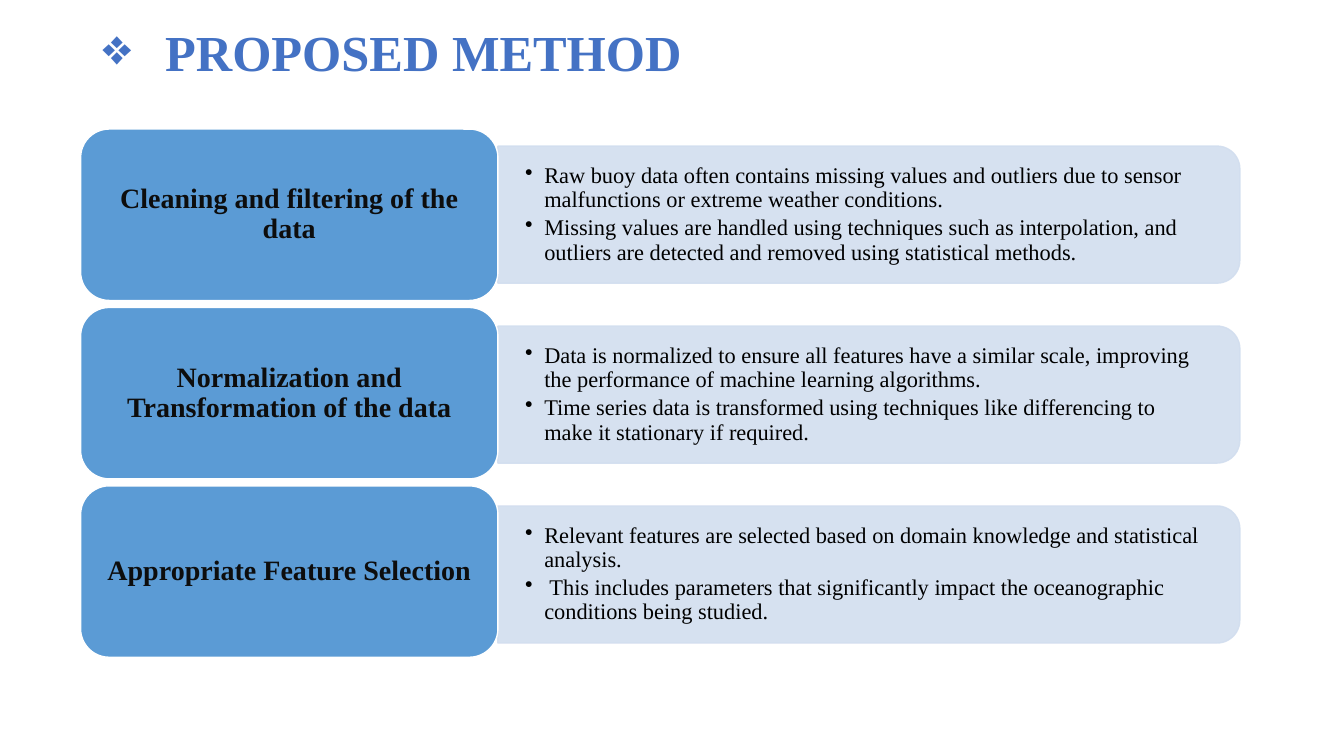
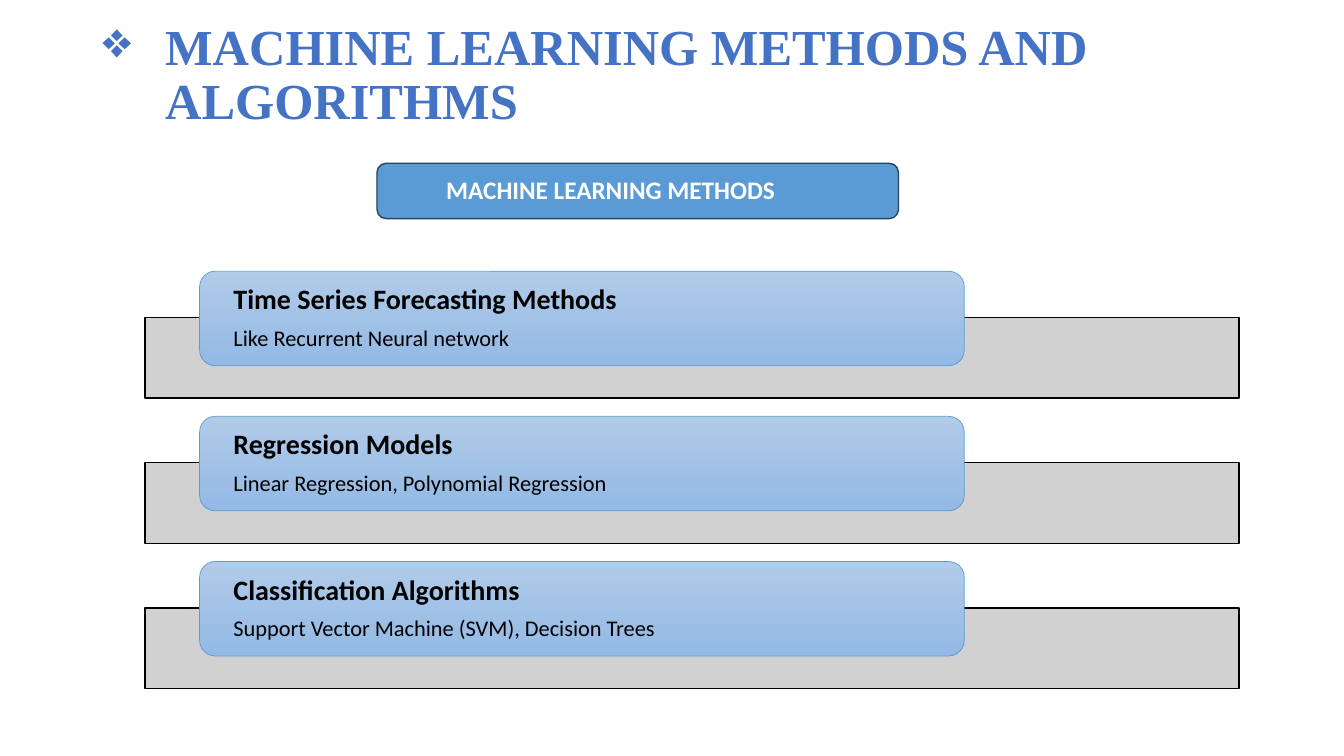
from lxml.etree import SubElement
from pptx import Presentation
from pptx.dml.color import RGBColor as Rgb
from pptx.enum.shapes import MSO_SHAPE as Shape
from pptx.enum.text import MSO_ANCHOR as Anchor, PP_ALIGN as Align
from pptx.oxml.ns import qn
from pptx.util import Inches, Pt

COLORS = {
    "title": "4472C4", "card": "5B9BD5", "panel": "D2DEEF", "white": "FFFFFF",
    "ink": "0D0D0D", "black": "000000", "bar": "CCCCCC", "edge": "28445D",
    "light": "B1CBE9", "deep": "93B9E4",
}
SERIF, SANS = "Times New Roman", "Calibri"
FONTS = {
    "title": {"name": SERIF, "size": Pt(36), "bold": True, "color": "title"},
    "step": {"name": SERIF, "size": Pt(20), "bold": True, "color": "ink"},
    "detail": {"name": SERIF, "size": Pt(16), "bold": False, "color": "black"},
    "header": {"name": SANS, "size": Pt(18), "bold": True, "color": "white"},
    "method": {"name": SANS, "size": Pt(20), "bold": True, "color": "black"},
    "example": {"name": SANS, "size": Pt(16), "bold": False, "color": "black"},
}
STEPS = [
    ("Cleaning and filtering of the data", [
        "Raw buoy data often contains missing values and outliers due to sensor malfunctions or extreme weather conditions.",
        "Missing values are handled using techniques such as interpolation, and outliers are detected and removed using statistical methods."]),
    ("Normalization and Transformation of the data", [
        "Data is normalized to ensure all features have a similar scale, improving the performance of machine learning algorithms.",
        "Time series data is transformed using techniques like differencing to make it stationary if required."]),
    ("Appropriate Feature Selection", [
        "Relevant features are selected based on domain knowledge and statistical analysis.",
        " This includes parameters that significantly impact the oceanographic conditions being studied."]),
]
METHODS = [
    ("Time Series Forecasting Methods", "Like Recurrent Neural network"),
    ("Regression Models", "Linear Regression, Polynomial Regression"),
    ("Classification Algorithms", "Support Vector Machine (SVM), Decision Trees"),
]


def rgb(name):
    """Return the named colour."""
    return Rgb.from_string(COLORS[name])


def fade(node, share=90):
    """Give every colour under the node the same opacity in percent."""
    for color in node.iter(qn("a:srgbClr")):
        SubElement(color, qn("a:alpha"), val=str(share * 1000))


class Deck:
    """Style and current slide, with boxes in percent of the slide's size."""

    def __init__(self):
        """Start an empty wide presentation."""
        self.show = Presentation()
        self.show.slide_width, self.show.slide_height = Inches(13.33), Inches(7.5)
        self.slide = None

    def box(self, left, top, width, height):
        """Turn percentages into slide lengths."""
        across, down = self.show.slide_width / 100, self.show.slide_height / 100
        return [round(n) for n in (left * across, top * down, width * across, height * down)]

    def begin(self, heading, top, height):
        """Add a slide with its bulleted heading."""
        self.slide = self.show.slides.add_slide(self.show.slide_layouts[6])
        self.label((6.9, top, 86.25, height), [(heading, "title")], bullet="❖", indent=0.62)

    def shape(self, kind, box, fill, line, weight=1, turned=False):
        """Draw a filled outline, turned a quarter clockwise on request."""
        left, top, width, height = self.box(*box)
        if turned:
            left, top = left + (width - height) // 2, top + (height - width) // 2
            width, height = height, width
        drawn = self.slide.shapes.add_shape(kind, left, top, width, height)
        drawn.rotation = 90 if turned else 0
        drawn.shadow.inherit = False
        if isinstance(fill, tuple):
            drawn.fill.gradient()
            drawn.fill.gradient_angle = 270
            for stop, color in zip(drawn.fill.gradient_stops, fill):
                stop.color.rgb = rgb(color)
        else:
            drawn.fill.solid()
            drawn.fill.fore_color.rgb = rgb(fill)
        drawn.line.color.rgb = rgb(line)
        drawn.line.width = Pt(weight)
        return drawn

    def label(self, box, lines, **layout):
        """Set text in a box of its own."""
        holder = self.slide.shapes.add_textbox(*self.box(*box))
        self.typeset(holder, lines, **layout)

    def typeset(self, holder, lines, align=Align.LEFT, inset=(0.1, 0.05), gap=0,
                bullet=None, indent=0):
        """Fill a holder with one paragraph for each text and font pair."""
        frame = holder.text_frame
        side, edge = map(Inches, inset)
        layout = {"word_wrap": True, "vertical_anchor": Anchor.MIDDLE,
                  "margin_left": side, "margin_right": side,
                  "margin_top": edge, "margin_bottom": edge}
        for key, value in layout.items():
            setattr(frame, key, value)
        for index, (text, font) in enumerate(lines):
            paragraph = frame.add_paragraph() if index else frame.paragraphs[0]
            spacing = {"alignment": align, "line_spacing": 0.9, "space_after": Pt(gap)}
            for key, value in spacing.items():
                setattr(paragraph, key, value)
            run = paragraph.add_run()
            run.text = text
            for key, value in FONTS[font].items():
                if key == "color":
                    run.font.color.rgb = rgb(value)
                else:
                    setattr(run.font, key, value)
            if bullet:
                marks = paragraph._p.get_or_add_pPr()
                marks.set("marL", str(Inches(indent)))
                marks.set("indent", str(-Inches(indent)))
                SubElement(marks, qn("a:buChar"), char=bullet)

    def step(self, row, name, details):
        """Draw one step card with its panel of details."""
        top = 19.33 + 23.8 * row
        panel = self.shape(Shape.ROUND_2_SAME_RECTANGLE, (37.05, top, 55.2, 18.13),
                           "panel", "panel", turned=True)
        fade(panel._element.spPr)
        self.label((37.05, top, 54.7, 18.13), [(text, "detail") for text in details],
                   inset=(0.27, 0.14), gap=2.8, bullet="•", indent=0.19)
        card = self.shape(Shape.ROUNDED_RECTANGLE, (6, 17.07 + 23.6 * row, 31.05, 22.67),
                          "card", "white")
        self.typeset(card, [(name, "step")], align=Align.CENTER, inset=(0.08, 0.04))

    def method(self, row, name, example):
        """Draw one method card over its bar."""
        drop = 19.2 * row
        bar = self.shape(Shape.RECTANGLE, (10.8, 42 + drop, 81.38, 10.67), "bar", "black")
        fade(bar._element.spPr.find(qn("a:solidFill")))
        card = self.shape(Shape.ROUNDED_RECTANGLE, (14.85, 35.87 + drop, 56.9, 12.5),
                          ("light", "deep"), "card", 0.5)
        self.typeset(card, [(name, "method"), (example, "example")], inset=(0.29, 0), gap=8)

    def header(self, text):
        """Draw the header above the methods."""
        plate = self.shape(Shape.ROUNDED_RECTANGLE, (28.05, 21.6, 38.8, 7.33), "card", "edge")
        self.typeset(plate, [(text, "header")], inset=(0.66, 0.05))


def main():
    """Build both slides."""
    deck = Deck()
    deck.begin("PROPOSED METHOD", 2.13, 10.4)
    for row, (name, details) in enumerate(STEPS):
        deck.step(row, name, details)
    deck.begin("MACHINE LEARNING METHODS AND ALGORITHMS", 2.93, 14.27)
    for row, (name, example) in enumerate(METHODS):
        deck.method(row, name, example)
    deck.header("MACHINE LEARNING METHODS")
    deck.show.save("out.pptx")


if __name__ == "__main__":
    main()
